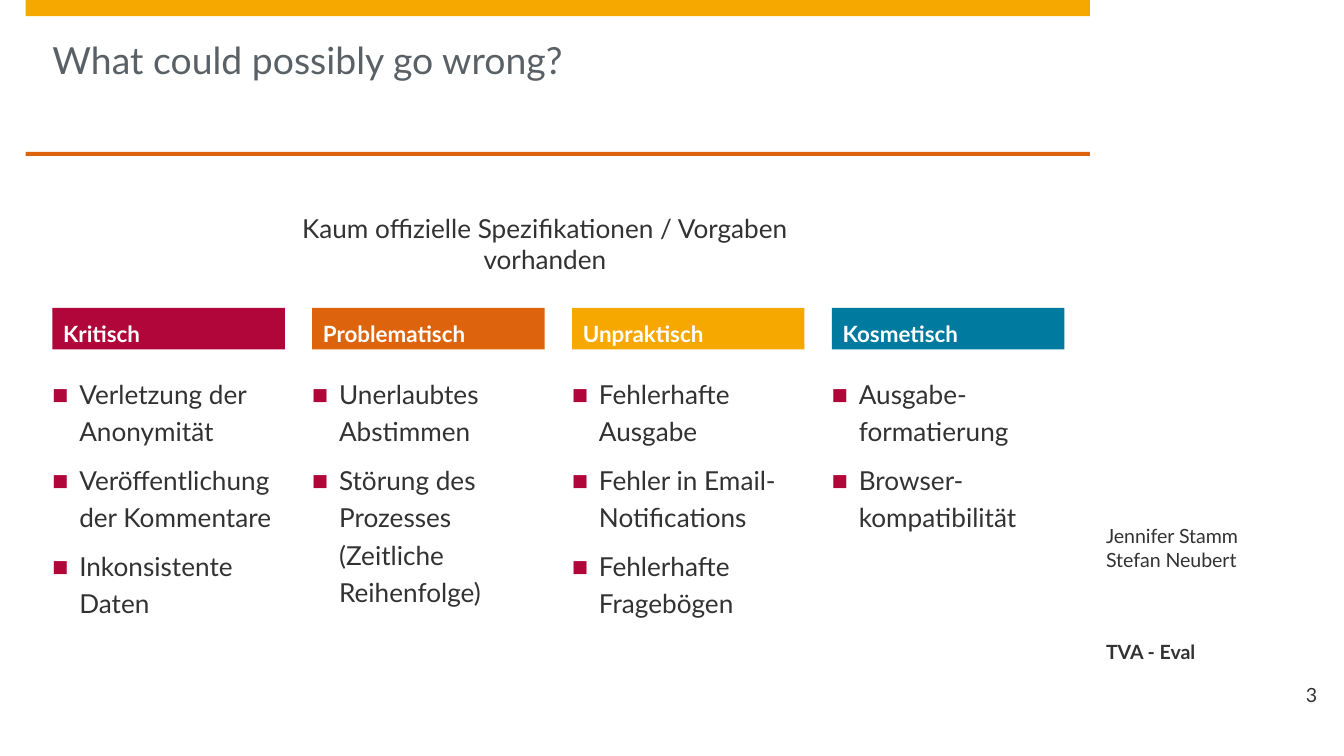
"""Builds the slide on what could go wrong, in four severity columns."""
from lxml import etree
from pptx import Presentation
from pptx.dml.color import RGBColor
from pptx.enum import shapes, text
from pptx.oxml.ns import qn
from pptx.util import Inches, Pt

FONT, INK, WHITE = "Lato", "323232", "FFFFFF"
CRIMSON, ORANGE, AMBER, TEAL = "B1063A", "DD640C", "F6A800", "007A9E"
LEFT, COLUMN_PITCH, COLUMN_WIDTH = 0.39, 5.8 / 3, 1.73

SEVERITIES = [
    ("Kritisch", CRIMSON, ["Verletzung der Anonymität",
                           "Veröffentlichung der Kommentare",
                           "Inkonsistente Daten"]),
    ("Problematisch", ORANGE, ["Unerlaubtes Abstimmen",
                               "Störung des Prozesses\n(Zeitliche Reihenfolge)"]),
    ("Unpraktisch", AMBER, ["Fehlerhafte Ausgabe",
                            "Fehler in Email-Notifications",
                            "Fehlerhafte Fragebögen"]),
    ("Kosmetisch", TEAL, ["Ausgabe-formatierung", "Browser-kompatibilität"]),
]


def color(value):
    """Turn a hex string into a colour."""
    return RGBColor.from_string(value)


def add_bar(slide, left, top, width, height, fill):
    """Add a plain filled rectangle."""
    bar = slide.shapes.add_shape(
        shapes.MSO_SHAPE.RECTANGLE,
        Inches(left), Inches(top), Inches(width), Inches(height))
    bar.shadow.inherit = False
    bar.fill.solid()
    bar.fill.fore_color.rgb = color(fill)
    bar.line.fill.background()
    return bar


def set_frame(shape, insets=(0, 0, 0, 0), anchor=text.MSO_ANCHOR.TOP, wrap=True):
    """Set the insets, anchor and wrapping of a shape's text."""
    frame = shape.text_frame
    frame.word_wrap = wrap
    if not wrap:
        frame.auto_size = text.MSO_AUTO_SIZE.SHAPE_TO_FIT_TEXT
    frame.vertical_anchor = anchor
    (frame.margin_left, frame.margin_top,
     frame.margin_right, frame.margin_bottom) = map(Inches, insets)
    return frame


def write(paragraph, wording, size, ink=INK, bold=False, align=text.PP_ALIGN.LEFT):
    """Fill a paragraph, breaking its lines at each newline."""
    paragraph.alignment = align
    for number, line in enumerate(wording.split("\n")):
        if number:
            paragraph.add_line_break()
        run = paragraph.add_run()
        run.text = line
        run.font.name, run.font.size, run.font.bold = FONT, Pt(size), bold
        run.font.color.rgb = color(ink)


def add_label(slide, box, wording, size, insets=(0, 0, 0, 0),
              anchor=text.MSO_ANCHOR.TOP, wrap=True, **style):
    """Add a text box holding one paragraph."""
    label = slide.shapes.add_textbox(*map(Inches, box))
    paragraph = set_frame(label, insets, anchor, wrap).paragraphs[0]
    write(paragraph, wording, size, **style)
    return paragraph


def set_spacing(paragraph, line=None):
    """Set the gaps around a paragraph and its line pitch in points."""
    paragraph.space_before = paragraph.space_after = Pt(3)
    if line:
        paragraph.line_spacing = Pt(line)


def add_bullet(paragraph):
    """Give a paragraph a small hanging square bullet."""
    properties = paragraph._p.get_or_add_pPr()
    properties.set("marL", str(Inches(0.2)))
    properties.set("indent", str(-Inches(0.2)))
    tint = etree.SubElement(properties, qn("a:buClr"))
    etree.SubElement(tint, qn("a:srgbClr"), val=CRIMSON)
    etree.SubElement(properties, qn("a:buSzPct"), val="65000")
    etree.SubElement(properties, qn("a:buFont"), typeface=FONT)
    etree.SubElement(properties, qn("a:buChar"), char="■")


def add_severity(slide, left, heading, fill, issues):
    """Add a column with a coloured heading and its issues."""
    header = add_bar(slide, left, 2.29, COLUMN_WIDTH, 0.31, fill)
    frame = set_frame(header, (0.08, 0.04, 0.08, 0.04), text.MSO_ANCHOR.MIDDLE)
    set_spacing(frame.paragraphs[0], 20)
    write(frame.paragraphs[0], heading, 12, WHITE, True)

    issue_list = slide.shapes.add_textbox(
        Inches(left), Inches(2.77), Inches(COLUMN_WIDTH), Inches(2.18))
    frame = set_frame(issue_list)
    for number, issue in enumerate(issues):
        paragraph = frame.add_paragraph() if number else frame.paragraphs[0]
        set_spacing(paragraph, 20)
        add_bullet(paragraph)
        write(paragraph, issue, 14)


def add_margin_note(slide, top, height, wording, **style):
    """Add a bottom-anchored note in the right margin."""
    add_label(slide, (8.11, top, 1.69, height), wording, 10.5,
              (0.12, 0, 0, 0), text.MSO_ANCHOR.BOTTOM, **style)


def main():
    """Build and save the slide."""
    deck = Presentation()
    deck.slide_width, deck.slide_height = Inches(10), Inches(10 * 9 / 16)
    slide = deck.slides.add_slide(deck.slide_layouts[6])

    add_bar(slide, 0.19, 0, 7.92, 0.12, AMBER)
    add_bar(slide, 0.19, 1.13, 7.92, 0.03, ORANGE)
    add_label(slide, (LEFT, 0.12, 7.52, 1.01), "What could possibly go wrong?",
              20, (0, 0.16, 0, 0), ink="5A6166")
    summary = add_label(slide, (1.88, 1.58, 4.35, 0.3),
                        "Kaum offizielle Spezifikationen / Vorgaben vorhanden",
                        14, wrap=False, align=text.PP_ALIGN.CENTER)
    set_spacing(summary)

    for column, severity in enumerate(SEVERITIES):
        add_severity(slide, LEFT + column * COLUMN_PITCH, *severity)

    add_margin_note(slide, 3.74, 0.51, "Jennifer Stamm\nStefan Neubert")
    add_margin_note(slide, 4.37, 0.57, "TVA - Eval", bold=True)
    add_margin_note(slide, 5.06, 0.2, "3", align=text.PP_ALIGN.RIGHT)
    deck.save("out.pptx")


if __name__ == "__main__":
    main()
